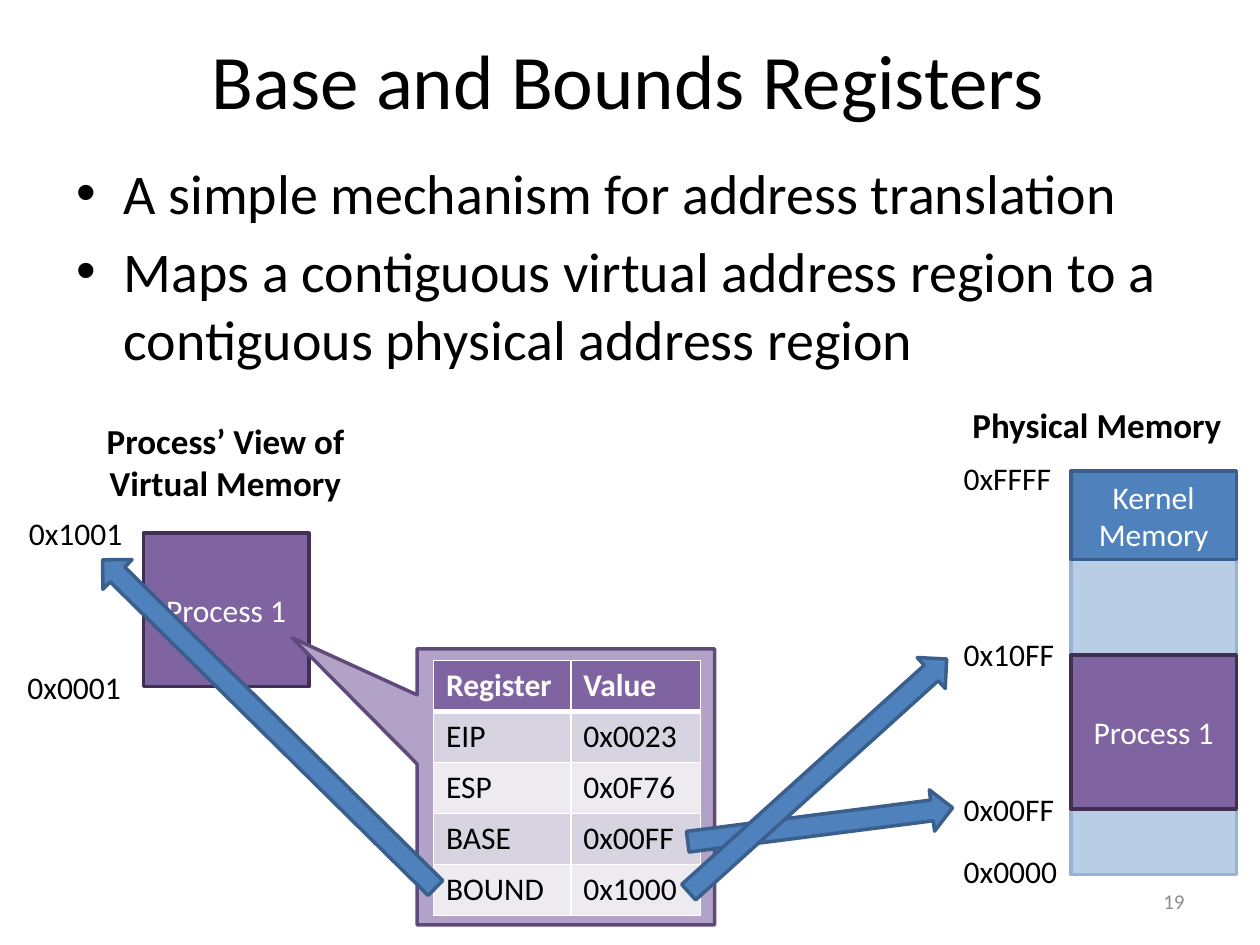
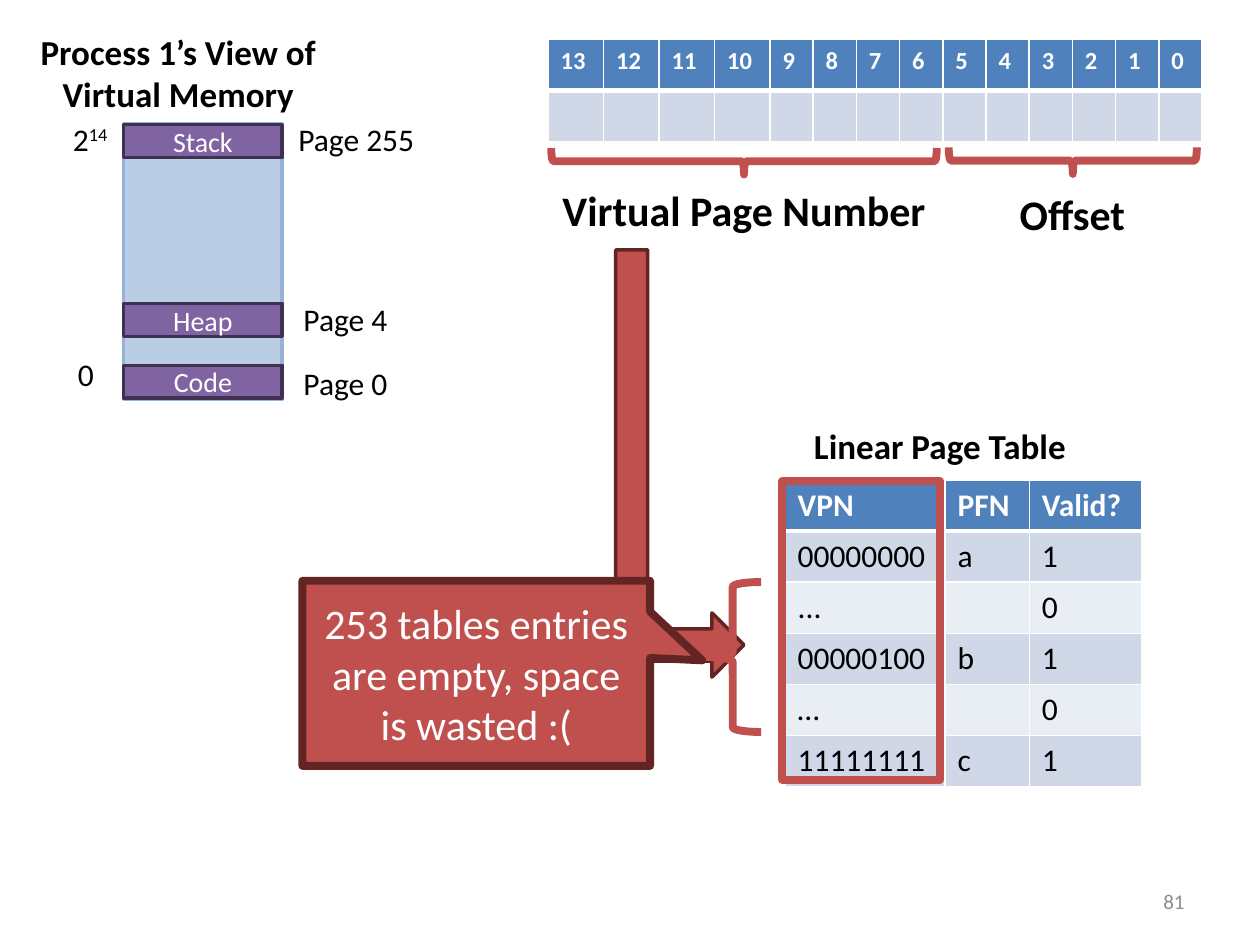
from lxml.etree import SubElement
from pptx import Presentation
from pptx.dml.color import RGBColor
from pptx.enum.shapes import MSO_SHAPE
from pptx.enum.text import MSO_ANCHOR, MSO_AUTO_SIZE, PP_ALIGN
from pptx.oxml.ns import qn
from pptx.util import Pt

FONT = "Calibri"
COLORS = {
    "black": "000000", "white": "FFFFFF", "grey": "8C8C8C",
    "blue": "4F81BD", "blue edge": "3A5F8C",
    "pale blue": "B9CDE5", "pale blue edge": "95B3D7",
    "purple": "8064A2", "purple edge": "403152",
    "lilac": "B3A2C7", "lilac edge": "604A7B",
    "red": "C0504D", "red edge": "632523",
    "blue band 1": "D0D8E8", "blue band 2": "E9EDF4",
    "purple band 1": "D8D3E0", "purple band 2": "EDEAF0",
}
COLORS = {name: RGBColor.from_string(value) for name, value in COLORS.items()}


def add_box(page, place, text="", size=18, bold=False, align=PP_ALIGN.LEFT,
            wrap=False, color="black", kind=None, fill=None, line=None, weight=2):
    """Add a text box, or a preset shape with centred text when kind is given."""
    place = [Pt(length) for length in place]
    if kind is None:
        box = page.shapes.add_textbox(*place)
    else:
        box = page.shapes.add_shape(kind, *place)
        box.shadow.inherit = False
        if fill:
            box.fill.solid()
            box.fill.fore_color.rgb = COLORS[fill]
        else:
            box.fill.background()
        box.line.color.rgb = COLORS[line or fill + " edge"]
        box.line.width = Pt(weight)
        box.text_frame.vertical_anchor = MSO_ANCHOR.MIDDLE
        align, wrap, color = PP_ALIGN.CENTER, True, "white"
    frame = box.text_frame
    frame.word_wrap = wrap
    if not wrap:
        frame.auto_size = MSO_AUTO_SIZE.SHAPE_TO_FIT_TEXT
    frame.text = text
    for para in frame.paragraphs:
        para.alignment = align
        for span in para.runs:
            span.font.name, span.font.size, span.font.bold = FONT, Pt(size), bold
            span.font.color.rgb = COLORS[color]
    return box


def add_grid(page, left, top, widths, height, rows, hue, size=18):
    """Add a table with a coloured header, banded rows and white borders."""
    table = page.shapes.add_table(len(rows), len(widths), Pt(left), Pt(top),
                                  Pt(sum(widths)), Pt(height * len(rows))).table
    table.horz_banding = False
    for column, width in zip(table.columns, widths):
        column.width = Pt(width)
    for r, row in enumerate(rows):
        table.rows[r].height = Pt(height)
        for c, text in enumerate(row):
            cell = table.cell(r, c)
            cell.text = text
            for span in cell.text_frame.paragraphs[0].runs:
                span.font.name, span.font.size, span.font.bold = FONT, Pt(size), r == 0
                span.font.color.rgb = COLORS["black" if r else "white"]
            properties = cell._tc.get_or_add_tcPr()
            for side in "LRTB":
                thick = (r, side) in [(0, "B"), (1, "T")]
                border = SubElement(properties, qn("a:ln" + side), w=str(Pt(3 if thick else 1)))
                solid = SubElement(border, qn("a:solidFill"))
                SubElement(solid, qn("a:srgbClr"), val=str(COLORS["white"]))
            cell.fill.solid()
            cell.fill.fore_color.rgb = COLORS[f"{hue} band {2 - r % 2}" if r else hue]


deck = Presentation()
deck.slide_width, deck.slide_height = Pt(720), Pt(540)

# Pages with their numbers
pages = []
for number in ("19", "81"):
    page = deck.slides.add_slide(deck.slide_layouts[6])
    box = add_box(page, (516, 500.5, 168, 28.8), number, 12, align=PP_ALIGN.RIGHT,
                  wrap=True, color="grey")
    box.text_frame.vertical_anchor = MSO_ANCHOR.MIDDLE
    pages.append(page)
registers_page, table_page = pages

# ---- Base and Bounds Registers ----
page = registers_page
title = add_box(page, (3.6, 0, 710.6, 90), "Base and Bounds Registers", 44,
                align=PP_ALIGN.CENTER, wrap=True)
title.text_frame.vertical_anchor = MSO_ANCHOR.MIDDLE

body = add_box(page, (36.5, 87, 648, 136),
               "A simple mechanism for address translation\n"
               "Maps a contiguous virtual address region to a contiguous physical address region",
               32, wrap=True)
for index, para in enumerate(body.text_frame.paragraphs):
    properties = para._p.get_or_add_pPr()
    properties.set("marL", str(Pt(27)))
    properties.set("indent", str(Pt(-27)))
    if index:
        para.space_before = Pt(6.4)
    SubElement(properties, qn("a:buFont"), typeface="Arial")
    SubElement(properties, qn("a:buChar"), char="•")

# Physical memory and the process's view of it
for left, top, height, fill, text in [
    (612, 269.3, 230.4, "pale blue", ""),
    (612, 269.3, 50.4, "blue", "Kernel Memory"),
    (612, 374.4, 87.8, "purple", "Process 1"),
    (82, 304.6, 87.8, "purple", "Process 1"),
]:
    add_box(page, (left, top, 94.5, height), text, kind=MSO_SHAPE.RECTANGLE, fill=fill)

add_box(page, (548.6, 226.8, 158.4, 31.5), "Physical Memory", 20, True)
add_box(page, (53.3, 236.2, 151.2, 55.7), "Process’ View of\nVirtual Memory", 20, True,
        PP_ALIGN.CENTER)

# Address labels
for left, top, width, text in [
    (543.6, 483.1, 68.4, "0x0000"),
    (543.6, 258.5, 64.8, "0xFFFF"),
    (543.6, 447.8, 67, "0x00FF"),
    (543.6, 359.3, 67, "0x10FF"),
    (8.6, 378, 68.4, "0x0001"),
    (9.4, 290.2, 68.4, "0x1001"),
]:
    add_box(page, (left, top, width, 29), text)

# Register table inside a callout
callout = add_box(page, (238.3, 370.8, 170, 157.7),
                  kind=MSO_SHAPE.RECTANGULAR_CALLOUT, fill="lilac")
callout.adjustments[0], callout.adjustments[1] = -0.92, -0.54
add_grid(page, 247.7, 377.3, (78.5, 74.2), 29.2, [
    ("Register", "Value"),
    ("EIP", "0x0023"),
    ("ESP", "0x0F76"),
    ("BASE", "0x00FF"),
    ("BOUND", "0x1000"),
], "purple")

# Arrows from registers to addresses
for left, top, length, angle in [
    (392.4, 459.4, 152.6, 352.7),
    (20.2, 401.8, 267.1, 224.6),
    (367.9, 431.3, 198.7, 317.9),
]:
    arrow = add_box(page, (left, top, length, 23.8), kind=MSO_SHAPE.RIGHT_ARROW, fill="blue")
    arrow.rotation = angle

# ---- Linear page table ----
page = table_page
add_grid(page, 448.6, 274.3, (91.4, 48.2, 64.1), 29.2, [
    ("VPN", "PFN", "Valid?"),
    ("00000000", "a", "1"),
    ("...", "", "0"),
    ("00000100", "b", "1"),
    ("…", "", "0"),
    ("11111111", "c", "1"),
], "blue")
add_box(page, (457.2, 239, 159.8, 31.5), "Linear Page Table", 20, True, PP_ALIGN.CENTER)

# Virtual memory with its segments
add_box(page, (70.6, 70.6, 90.7, 157.7), kind=MSO_SHAPE.RECTANGLE, fill="pale blue")
for top, text in [(71.3, "Stack"), (173.5, "Heap"), (208.8, "Code")]:
    add_box(page, (70.6, top, 90.7, 18.7), text, 16, kind=MSO_SHAPE.RECTANGLE, fill="purple")
add_box(page, (15.1, 13.7, 173.5, 55.7), "Process 1’s View of\nVirtual Memory", 20, True,
        PP_ALIGN.CENTER)
for left, top, width, text in [
    (37.4, 199.4, 23.8, "0"),
    (166.3, 204.5, 63.4, "Page 0"),
    (166.3, 167.8, 63.4, "Page 4"),
    (163.4, 64.8, 81.4, "Page 255"),
]:
    add_box(page, (left, top, width, 29), text)

top_address = add_box(page, (34.6, 64.8, 36, 29), "2")
exponent = top_address.text_frame.paragraphs[0].add_run()
exponent.text = "14"
exponent.font.name, exponent.font.size = FONT, Pt(18)
exponent.font.color.rgb = COLORS["black"]
exponent.font._element.set("baseline", "30000")

# Address bits and their two parts
bits = [str(bit) for bit in range(13, -1, -1)]
add_grid(page, 313.2, 22.5, [31.7] * 4 + [24.7] * 10, 29.2, [bits, [""] * 14], "blue", 14)
for left, top, width, height, angle in [
    (605.5, 20.9, 15.1, 141.8, 270),
    (417.6, -18, 15.1, 220.3, 270),
]:
    brace = add_box(page, (left, top, width, height), kind=MSO_SHAPE.LEFT_BRACE,
                    line="red", weight=4.5)
    brace.rotation = angle
add_box(page, (574.6, 104.4, 76.3, 36.4), "Offset", 24, True, PP_ALIGN.CENTER)
add_box(page, (313.2, 102.2, 223.9, 36.4), "Virtual Page Number", 24, True, PP_ALIGN.CENTER)

# Arrow from the page number to the VPN column
arrow = add_box(page, (266.4, 228.2, 244.1, 73.4), kind=MSO_SHAPE.BENT_UP_ARROW, fill="red")
arrow.rotation = 90
add_box(page, (447.1, 275, 90, 170.6), kind=MSO_SHAPE.FLOWCHART_PROCESS, line="red", weight=4.5)

# Remark on the empty entries
add_box(page, (402.5, 332.6, 32.4, 85.7), kind=MSO_SHAPE.LEFT_BRACE, line="red", weight=4.5)
remark = add_box(page, (172.8, 331.9, 198.7, 105.8),
                 "253 tables entries are empty, space is wasted :(", 24,
                 kind=MSO_SHAPE.RECTANGULAR_CALLOUT, fill="red", weight=4.5)
remark.adjustments[0], remark.adjustments[1] = 0.65, -0.07

deck.save("out.pptx")
